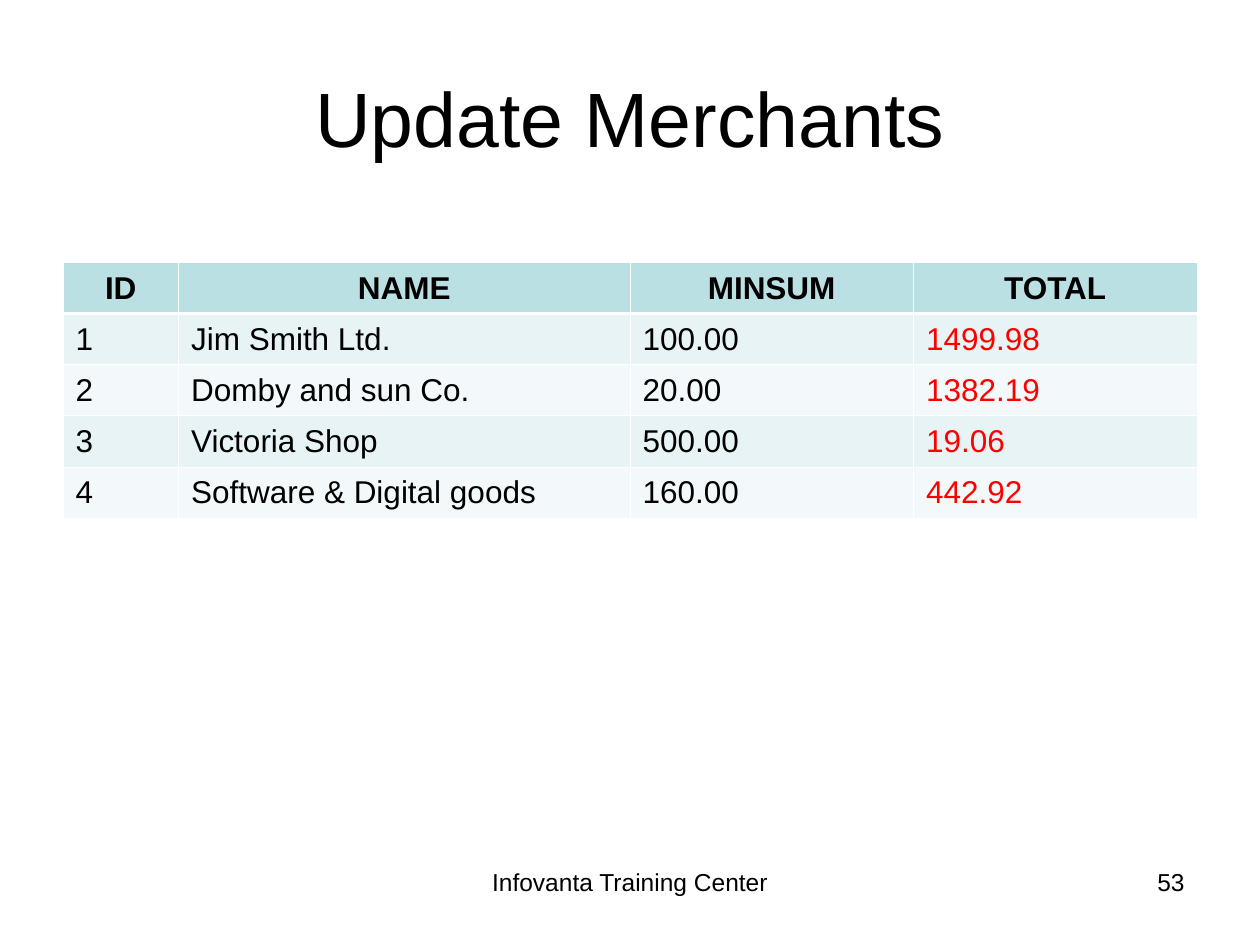
from pptx import Presentation
from pptx.dml.color import RGBColor as RGB
from pptx.enum.text import MSO_ANCHOR as Anchor, PP_ALIGN as Align
from pptx.oxml.ns import qn
from pptx.util import Pt
from lxml.etree import SubElement as Sub

BLACK = RGB(0, 0, 0)
RED = RGB(255, 0, 0)
WHITE = RGB(255, 255, 255)
HEAD = RGB(0xBB, 0xE0, 0xE3)
BANDS = (RGB(0xE7, 0xF3, 0xF4), RGB(0xF3, 0xF9, 0xFA))

ROWS = (
    ("ID", "NAME", "MINSUM", "TOTAL"),
    ("1", "Jim Smith Ltd.", "100.00", "1499.98"),
    ("2", "Domby and sun Co.", "20.00", "1382.19"),
    ("3", "Victoria Shop", "500.00", "19.06"),
    ("4", "Software & Digital goods", "160.00", "442.92"),
)
WIDTHS = (66, 258, 162, 162)
HIGH = 29.2


def write(frame, text, size=18, color=BLACK, bold=False, align=Align.LEFT):
    para = frame.paragraphs[0]
    para.alignment = align
    run = para.add_run()
    run.text = text
    font = run.font
    font.name, font.size, font.bold = "Arial", Pt(size), bold
    font.color.rgb = color


def add_text(slide, box, text, anchor=Anchor.TOP, **form):
    frame = slide.shapes.add_textbox(*map(Pt, box)).text_frame
    frame.word_wrap = True
    frame.vertical_anchor = anchor
    write(frame, text, **form)


def add_edge(cell, side, width):
    props = cell._tc.get_or_add_tcPr()
    line = Sub(props, qn(f"a:ln{side}"), w=str(Pt(width)))
    fill = Sub(line, qn("a:solidFill"))
    Sub(fill, qn("a:srgbClr"), val=str(WHITE))


def add_grid(slide, left, top):
    shape = slide.shapes.add_table(
        len(ROWS), len(WIDTHS), Pt(left), Pt(top),
        Pt(sum(WIDTHS)), Pt(HIGH * len(ROWS)))
    table = shape.table
    for col, width in zip(table.columns, WIDTHS):
        col.width = Pt(width)
    for r, row in enumerate(ROWS):
        table.rows[r].height = Pt(HIGH)
        for c, text in enumerate(row):
            cell = table.cell(r, c)
            cell.vertical_anchor = Anchor.MIDDLE
            # A thicker rule parts the header from the body
            for side in "LRTB":
                thick = (r, side) in ((0, "B"), (1, "T"))
                add_edge(cell, side, 1.47 if thick else 0.45)
            cell.fill.solid()
            cell.fill.fore_color.rgb = BANDS[(r - 1) % 2] if r else HEAD
            total = r > 0 and c == len(row) - 1
            write(cell.text_frame, text, bold=r == 0,
                  color=RED if total else BLACK,
                  align=Align.LEFT if r else Align.CENTER)


def main():
    deck = Presentation()
    deck.slide_width, deck.slide_height = Pt(720), Pt(540)
    slide = deck.slides.add_slide(deck.slide_layouts[6])

    # Title
    add_text(slide, (36, 21.6, 648, 90), "Update Merchants",
             anchor=Anchor.MIDDLE, size=44, align=Align.CENTER)
    # Merchant table
    add_grid(slide, 36, 150)
    # Footer and page number
    add_text(slide, (246, 492, 228, 37.5), "Infovanta Training Center",
             size=14, align=Align.CENTER)
    add_text(slide, (516, 492, 168, 37.5), "53", size=14, align=Align.RIGHT)

    deck.save("out.pptx")


if __name__ == "__main__":
    main()
